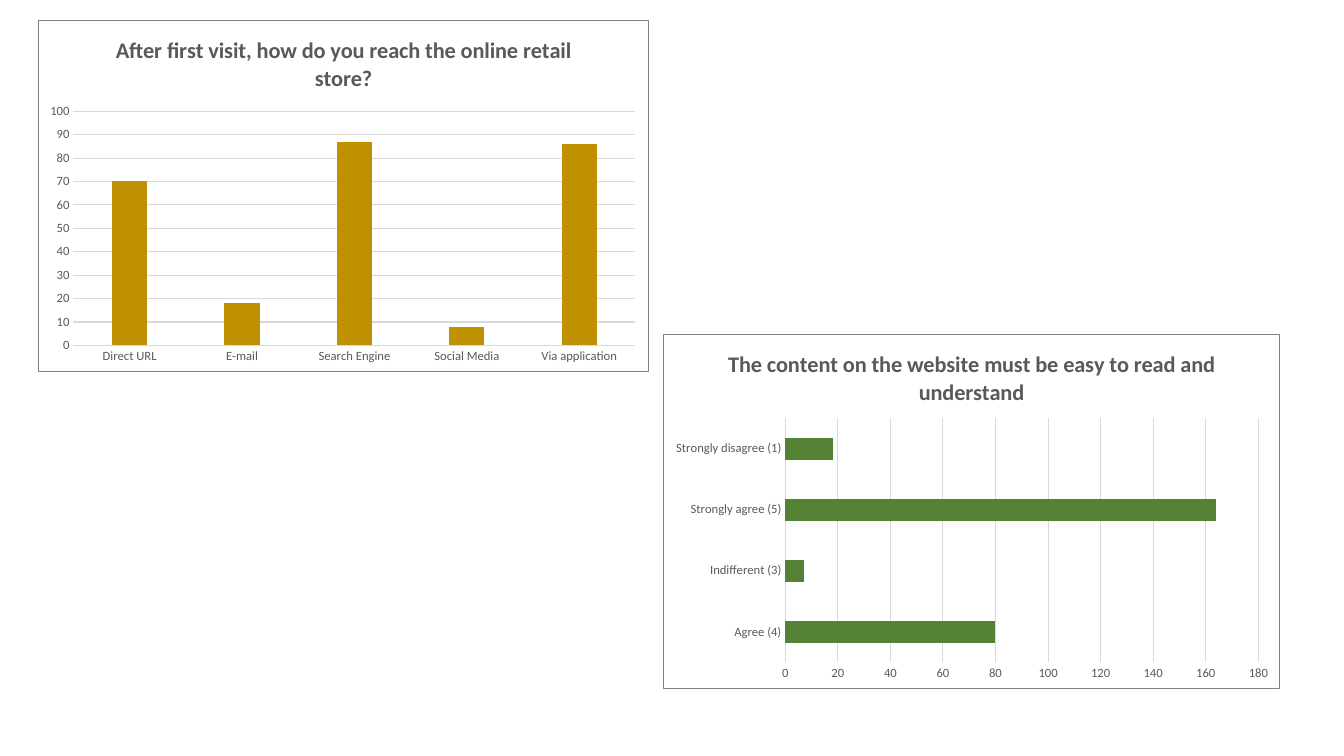
from lxml.etree import fromstring
from pptx import Presentation
from pptx.chart.data import CategoryChartData
from pptx.dml.color import RGBColor
from pptx.enum.chart import XL_CHART_TYPE as ChartType, XL_TICK_MARK as TickMark
from pptx.util import Emu, Pt

EMU_PER_PIXEL = 914400 / 100.8
FONT = "Calibri"
COLORS = {"text": "595959", "grid": "D9D9D9", "border": "808080",
          "gold": "BF9000", "green": "548235", "white": "FFFFFF"}
NAMESPACES = ('xmlns:c="http://schemas.openxmlformats.org/drawingml/2006/chart" '
              'xmlns:a="http://schemas.openxmlformats.org/drawingml/2006/main"')


def px(pixels):
    """Turn whole pixels into EMU."""
    return Emu(round(pixels * EMU_PER_PIXEL))


def color(name):
    """Look up a named colour."""
    return RGBColor.from_string(COLORS[name])


def style_font(font, size, bold=False):
    """Set the common chart font."""
    font.name, font.size, font.bold = FONT, Pt(size), bold
    font.color.rgb = color("text")


def style_line(line, name):
    """Give a line the thin chart weight and a colour."""
    line.color.rgb = color(name)
    line.width = Pt(0.75)


def set_title(chart, lines):
    """Write the bold title, one paragraph a line."""
    chart.has_title = True
    frame = chart.chart_title.text_frame
    frame.text = "\n".join(lines)
    for para in frame.paragraphs:
        for span in para.runs:
            style_font(span.font, 16, bold=True)
    chart.chart_title.include_in_layout = False


def style_axes(chart):
    """Format both axes and the gridlines."""
    for axis in (chart.category_axis, chart.value_axis):
        axis.major_tick_mark = axis.minor_tick_mark = TickMark.NONE
        style_font(axis.tick_labels.font, 9)
    style_line(chart.category_axis.format.line, "grid")
    chart.value_axis.format.line.fill.background()
    chart.value_axis.has_major_gridlines = True
    style_line(chart.value_axis.major_gridlines.format.line, "grid")


def set_frame(chart):
    """Give the chart area a white fill and a thin border."""
    chart._chartSpace.chart.addnext(fromstring(
        f'<c:spPr {NAMESPACES}><a:solidFill><a:srgbClr val="{COLORS["white"]}"/>'
        f'</a:solidFill><a:ln w="{Pt(0.75)}"><a:solidFill>'
        f'<a:srgbClr val="{COLORS["border"]}"/></a:solidFill></a:ln></c:spPr>'))


def place_plot(chart, box, plot_box):
    """Fix the inner plot area, given in slide pixels."""
    left, top, width, height = box
    x, y, w, h = plot_box
    shares = {"x": (x - left) / width, "y": (y - top) / height,
              "w": w / width, "h": h / height}
    sizes = "".join(f'<c:{key} val="{share:.4f}"/>' for key, share in shares.items())
    area = chart._chartSpace.chart.plotArea
    for layout in area.xpath("c:layout"):
        area.remove(layout)
    area.insert(0, fromstring(
        f'<c:layout {NAMESPACES}><c:manualLayout><c:layoutTarget val="inner"/>'
        f'<c:xMode val="edge"/><c:yMode val="edge"/>{sizes}'
        f'</c:manualLayout></c:layout>'))


def add_survey_chart(page, kind, box, plot_box, title, answers, fill, gap, top, step):
    """Add one framed bar chart of survey answers."""
    data = CategoryChartData()
    data.categories = list(answers)
    data.add_series("Series 1", list(answers.values()))
    chart = page.shapes.add_chart(kind, *map(px, box), data).chart
    style_font(chart.font, 10)
    chart.has_legend = False
    set_title(chart, title)
    style_axes(chart)
    axis = chart.value_axis
    axis.minimum_scale, axis.maximum_scale, axis.major_unit = 0, top, step
    plot = chart.plots[0]
    plot.gap_width, plot.vary_by_categories = gap, False
    bars = plot.series[0].format.fill
    bars.solid()
    bars.fore_color.rgb = color(fill)
    set_frame(chart)
    place_plot(chart, box, plot_box)
    return chart


def main():
    """Build the slide with its two survey charts."""
    deck = Presentation()
    deck.slide_width, deck.slide_height = px(1344), px(756)
    page = deck.slides.add_slide(deck.slide_layouts[6])
    reach = add_survey_chart(
        page, ChartType.COLUMN_CLUSTERED, (38, 20, 611, 352), (73, 111, 563, 235),
        ["After first visit, how do you reach the online retail", "store?"],
        {"Direct URL": 70, "E-mail": 18, "Search Engine": 87,
         "Social Media": 8, "Via application": 86}, "gold", 219, 100, 10)
    reach.plots[0].overlap = -27
    add_survey_chart(
        page, ChartType.BAR_CLUSTERED, (663, 334, 617, 355), (785, 418, 474, 245),
        ["The content on the website must be easy to read and", "understand"],
        {"Agree (4)": 80, "Indifferent (3)": 7, "Strongly agree (5)": 164,
         "Strongly disagree (1)": 18}, "green", 182, 180, 20)
    deck.save("out.pptx")


main()
